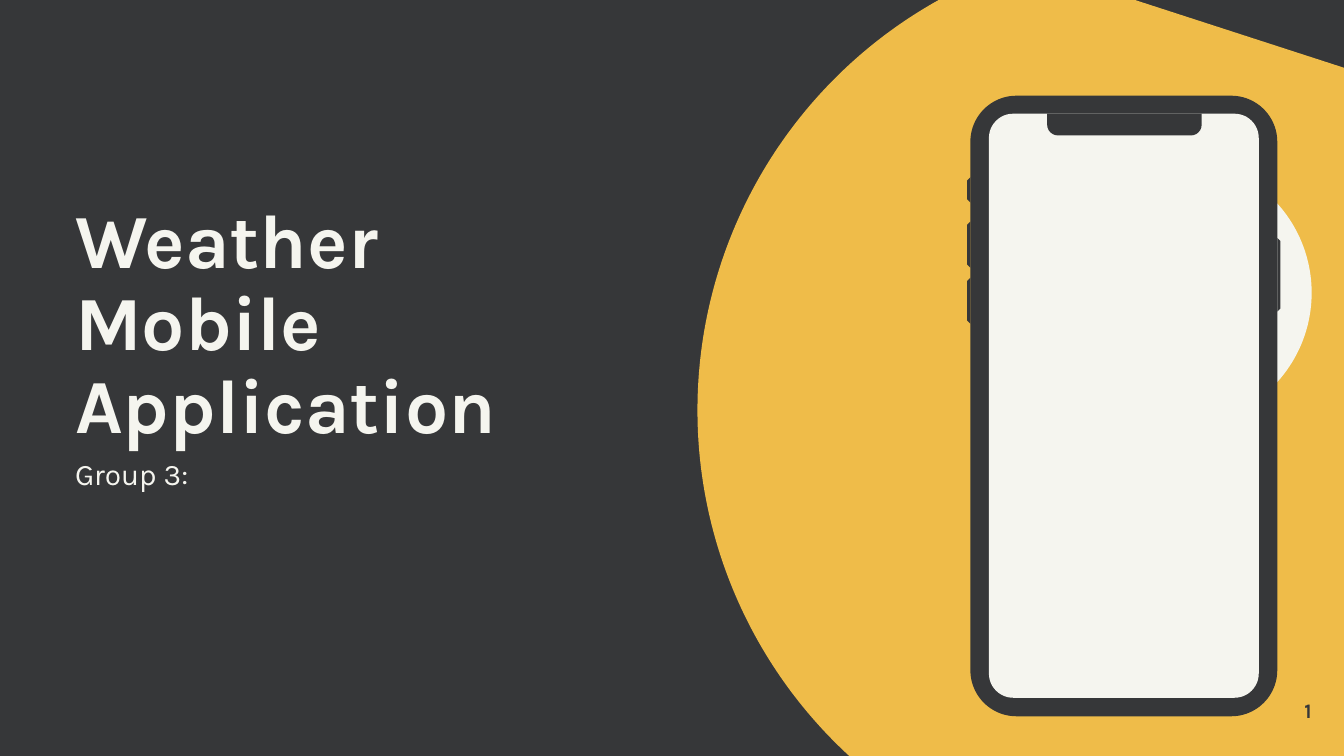
"""Build the title slide of a weather app deck with a phone mockup."""
import pptx
import pptx.dml.color
import pptx.enum.shapes
import pptx.enum.text
import pptx.util

Cm = pptx.util.Cm
Pt = pptx.util.Pt
RGBColor = pptx.dml.color.RGBColor
SHAPE = pptx.enum.shapes.MSO_SHAPE
ANCHOR = pptx.enum.text.MSO_ANCHOR
ALIGN = pptx.enum.text.PP_ALIGN
COLORS = {"dark": "363739", "yellow": "EFBC49", "light": "F5F5EF"}


def paint(shape, color):
    shape.shadow.inherit = False
    shape.fill.solid()
    shape.fill.fore_color.rgb = RGBColor.from_string(COLORS[color])
    shape.line.fill.background()


def add_preset(shapes, kind, box, color, adjustments=(), rotation=0):
    shape = shapes.add_shape(kind, *map(Cm, box))
    for index, value in enumerate(adjustments):
        shape.adjustments[index] = value
    shape.rotation = rotation
    paint(shape, color)


presentation = pptx.Presentation()
presentation.slide_width = Cm(25.4)
presentation.slide_height = Cm(14.29)
slide = presentation.slides.add_slide(presentation.slide_layouts[6])
slide.background.fill.solid()
slide.background.fill.fore_color.rgb = RGBColor.from_string(COLORS["dark"])

chord_angles = [degrees * 0.6 for degrees in (143.85, 72.08)]
add_preset(slide.shapes, SHAPE.CHORD, (13.18, -1.12, 17.75, 17.75), "yellow", chord_angles, 180)
add_preset(slide.shapes, SHAPE.DONUT, (19.76, 3.02, 5.03, 5.03), "light", [0.28])

phone = slide.shapes.add_group_shape().shapes
phone_parts = [
    (SHAPE.ROUNDED_RECTANGLE, (18.34, 1.81, 5.8, 11.73), "dark", [0.15]),
    (SHAPE.ROUNDED_RECTANGLE, (18.39, 1.85, 5.7, 11.63), "dark", [0.14]),
    (SHAPE.ROUNDED_RECTANGLE, (18.69, 2.15, 5.1, 11.04), "light", [0.09]),
    (SHAPE.ROUND_2_SAME_RECTANGLE, (19.79, 2.15, 2.92, 0.41), "dark", [0.5, 0], 180),
    (SHAPE.ROUNDED_RECTANGLE, (20.83, 2.26, 0.79, 0.1), "dark", [0.5]),
    (SHAPE.OVAL, (21.84, 2.24, 0.15, 0.15), "dark"),
]
for part in phone_parts:
    add_preset(phone, *part)

side_buttons = [
    (18.34, 18.28, 3.35, 0.48),
    (18.34, 18.28, 4.19, 0.87),
    (18.34, 18.28, 5.25, 0.87),
    (24.14, 24.2, 4.5, 1.39),
]
bevel = 0.06
for inner, outer, top, height in side_buttons:
    bottom = top + height
    corners = [(outer, top + bevel), (outer, bottom - bevel), (inner, bottom)]
    builder = phone.build_freeform(Cm(inner), Cm(top))
    builder.add_line_segments([(Cm(x), Cm(y)) for x, y in corners], close=True)
    paint(builder.convert_to_shape(), "dark")

texts = [
    {
        "text": "Weather Mobile Application",
        "box": (1.42, 4.6, 10.21, 3.91),
        "color": "light",
        "frame": {"vertical_anchor": ANCHOR.BOTTOM},
        "paragraph": {"line_spacing": 0.9},
        "font": {"size": Pt(41), "bold": True},
    },
    {
        "text": "1",
        "box": (23.27, 13.18, 1.52, 0.51),
        "color": "dark",
        "frame": {"vertical_anchor": ANCHOR.MIDDLE},
        "paragraph": {"alignment": ALIGN.RIGHT},
        "font": {"size": Pt(11), "bold": True},
    },
    {
        "text": "Group 3:",
        "box": (1.42, 8.51, 10.21, 0.74),
        "color": "light",
        "frame": {"vertical_anchor": ANCHOR.TOP},
        "paragraph": {"line_spacing": 1.15, "space_after": Pt(8)},
        "font": {"size": Pt(16)},
    },
]
frame_defaults = {"word_wrap": True, "margin_left": 0, "margin_top": 0, "margin_right": 0, "margin_bottom": 0}
for item in texts:
    frame = slide.shapes.add_textbox(*map(Cm, item["box"])).text_frame
    paragraph = frame.paragraphs[0]
    run = paragraph.add_run()
    run.text = item["text"]
    run.font.color.rgb = RGBColor.from_string(COLORS[item["color"]])
    formats = [
        (frame, frame_defaults | item["frame"]),
        (paragraph, item["paragraph"]),
        (run.font, {"name": "Karla"} | item["font"]),
    ]
    for target, values in formats:
        for name, value in values.items():
            setattr(target, name, value)

presentation.save("out.pptx")
